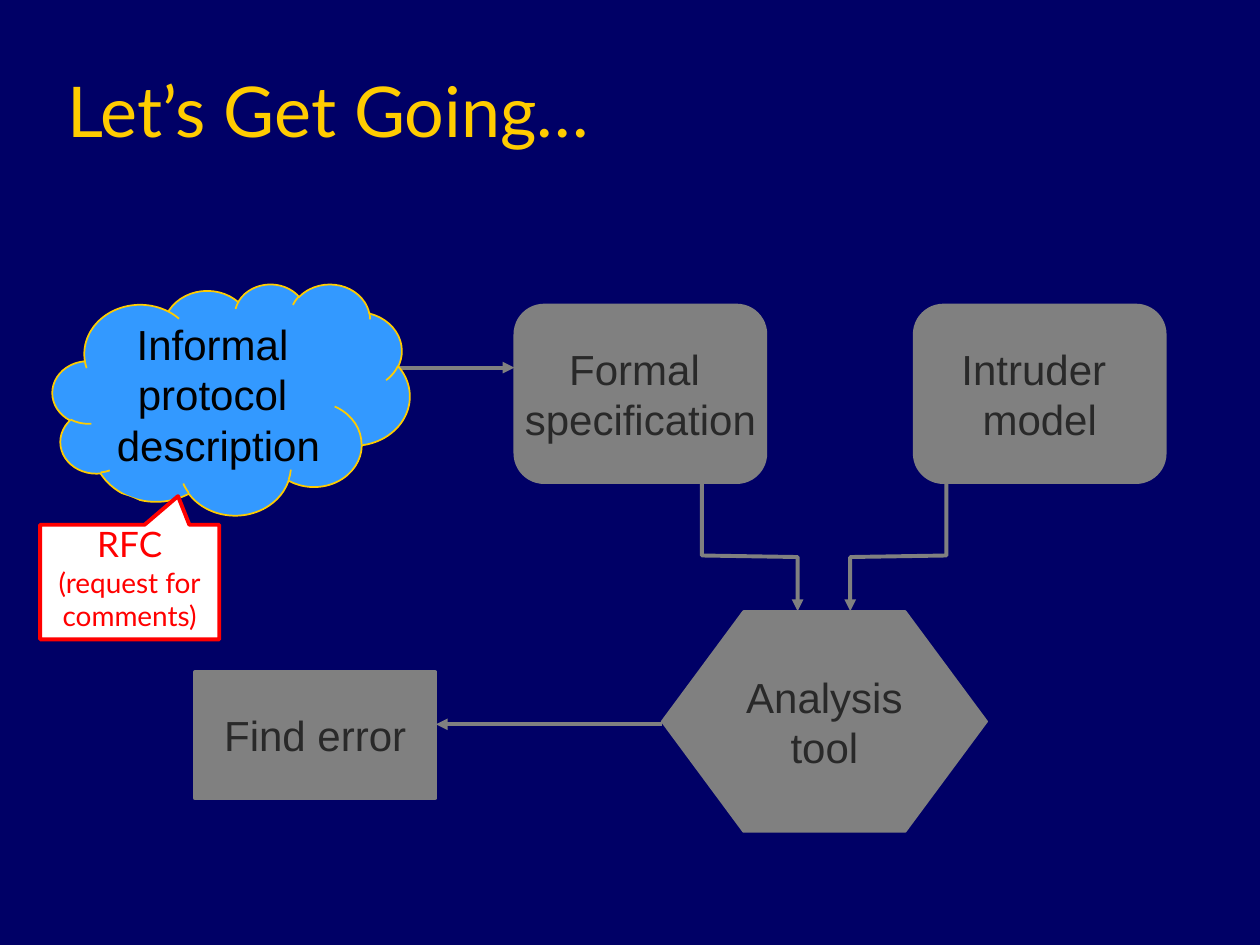
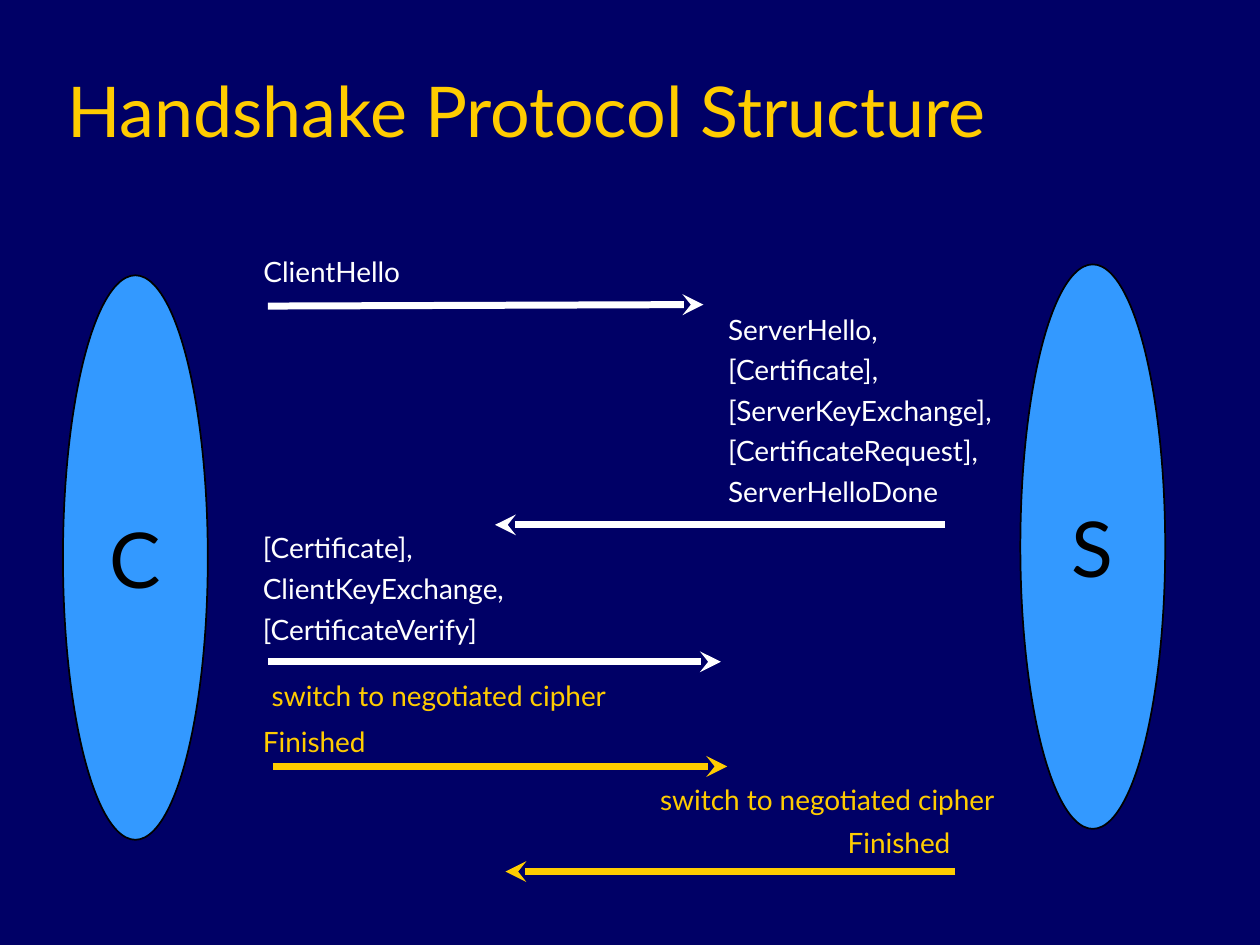
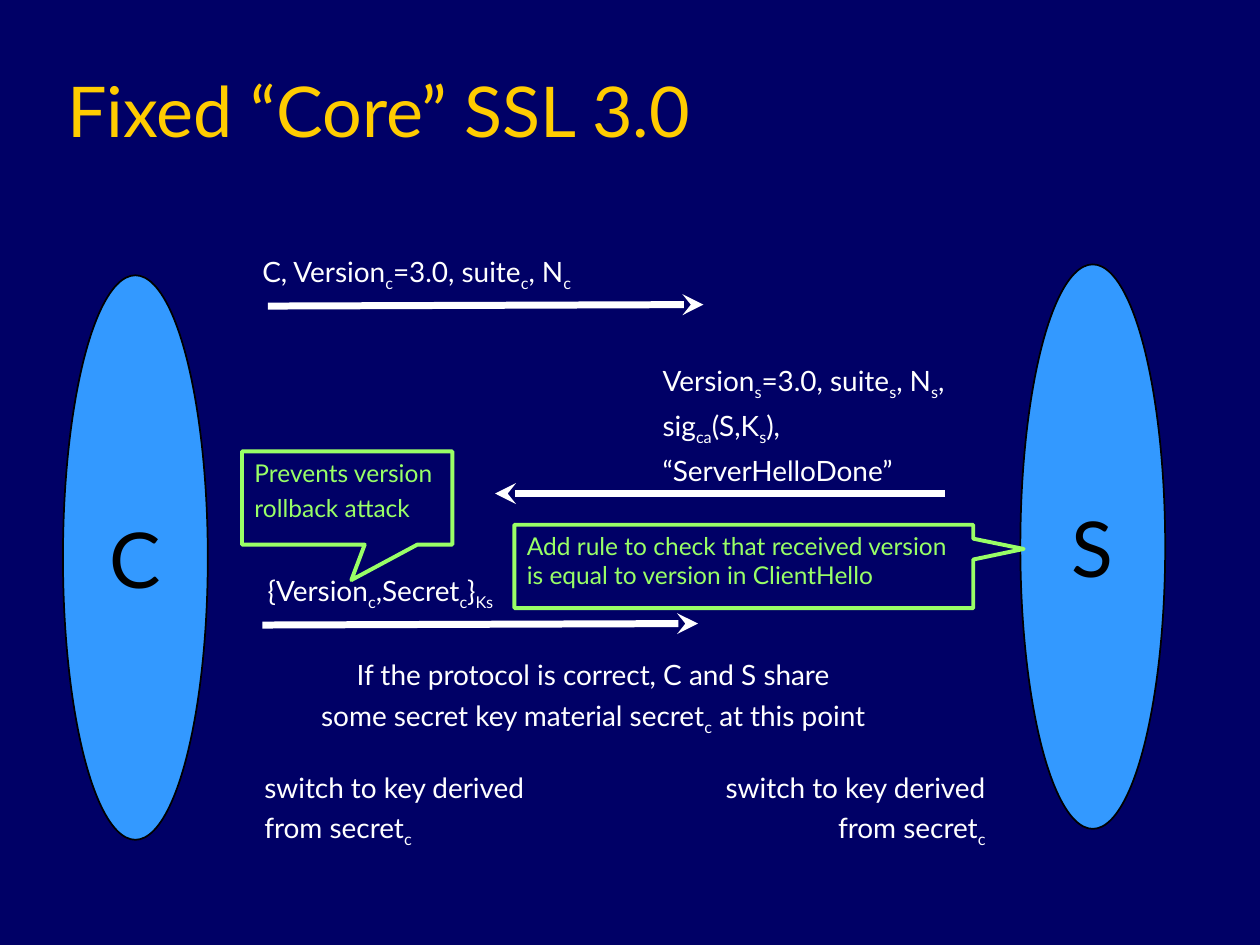
"""Build three slides on analysing and repairing a handshake protocol."""
from dataclasses import dataclass, field, replace
from typing import Optional

from lxml import etree
from pptx import Presentation
from pptx import util as u
from pptx.dml import color
from pptx.enum import shapes, text
from pptx.oxml import ns

NAVY, GOLD, SKY, GREY = "000066", "FFCC00", "3399FF", "808080"
WHITE, BLACK, CHARCOAL, RED, LIME = "FFFFFF", "000000", "292929", "FF0000", "99FF66"
LEFT, CENTER, RIGHT = text.PP_ALIGN.LEFT, text.PP_ALIGN.CENTER, text.PP_ALIGN.RIGHT
TOP, MIDDLE, BOTTOM = text.MSO_ANCHOR.TOP, text.MSO_ANCHOR.MIDDLE, text.MSO_ANCHOR.BOTTOM
KIND = shapes.MSO_SHAPE


@dataclass(frozen=True)
class Style:
    """Look of a paragraph."""
    size: float
    color: str
    font: str = "Lato"
    align: int = LEFT
    before: float = 0
    spacing: Optional[float] = None


TITLE = Style(40, GOLD)
MESSAGE = Style(16, WHITE, before=4)
CENTERED = replace(MESSAGE, align=CENTER)
SECURED = replace(MESSAGE, color=GOLD)
SECURED_CENTERED = replace(SECURED, align=CENTER)
REMARK = Style(14, LIME, before=3.5)
PARTY = Style(44, BLACK, align=CENTER, before=11)
STEP = Style(24, CHARCOAL, "Arial", CENTER)
RFC = Style(16, RED, align=CENTER, before=4, spacing=0.8)


@dataclass(frozen=True)
class Label:
    """Text placed on a slide; subscripts stand between bars."""
    box: tuple[float, float, float, float]
    text: str
    style: Style = MESSAGE
    special: dict[int, Style] = field(default_factory=dict)
    anchor: int = TOP
    wrap: bool = False
    grow: bool = True


@dataclass(frozen=True)
class Node:
    """Filled or outlined preset shape with its label."""
    kind: int
    label: Label
    fill: Optional[str] = GREY
    line: Optional[str] = GREY
    width: float = 1
    adjust: tuple[float, ...] = ()


@dataclass(frozen=True)
class Arrow:
    """Straight arrow pointing at its second end."""
    start: tuple[float, float]
    end: tuple[float, float]
    color: str = WHITE
    width: float = 4
    head: str = "stealth"


def rgb(value: str) -> color.RGBColor:
    """Turn a hex string into a colour."""
    return color.RGBColor.from_string(value)


def cm(values) -> list[u.Cm]:
    """Turn numbers into centimetre lengths."""
    return [u.Cm(v) for v in values]


def write(sp, label: Label) -> None:
    """Put a label's text into a shape."""
    tf = sp.text_frame
    tf.text = label.text
    tf.word_wrap = label.wrap
    tf.vertical_anchor = label.anchor
    tf.auto_size = text.MSO_AUTO_SIZE.SHAPE_TO_FIT_TEXT if label.grow else text.MSO_AUTO_SIZE.NONE
    for i, p in enumerate(tf.paragraphs):
        style = label.special.get(i, label.style)
        p.alignment = style.align
        p.space_before = u.Pt(style.before)
        if style.spacing:
            p.line_spacing = style.spacing
        first, *rest = p.text.split("|")
        p.text = first
        for piece in filter(None, rest):
            p.add_run().text = piece
        for j, r in enumerate(p.runs):
            r.font.name, r.font.size = style.font, u.Pt(style.size)
            r.font.color.rgb = rgb(style.color)
            if j % 2:
                r.font._element.set("baseline", "-25000")


def add_label(slide, label: Label) -> None:
    """Draw a text box."""
    write(slide.shapes.add_textbox(*cm(label.box)), label)


def add_node(slide, node: Node) -> None:
    """Draw a preset shape."""
    sp = slide.shapes.add_shape(node.kind, *cm(node.label.box))
    sp.shadow.inherit = False
    for i, value in enumerate(node.adjust):
        sp.adjustments[i] = value
    if node.fill:
        sp.fill.solid()
        sp.fill.fore_color.rgb = rgb(node.fill)
    else:
        sp.fill.background()
    if node.line:
        sp.line.color.rgb = rgb(node.line)
        sp.line.width = u.Pt(node.width)
    else:
        sp.line.fill.background()
    if node.label.text:
        write(sp, node.label)


def point_line(sp, hue: str, width: float, head: str) -> None:
    """Colour a line and give its end an arrowhead."""
    sp.line.color.rgb = rgb(hue)
    sp.line.width = u.Pt(width)
    ln = sp._element.spPr.find(ns.qn("a:ln"))
    etree.SubElement(ln, ns.qn("a:tailEnd"), type=head)


def add_arrow(slide, arrow: Arrow) -> None:
    """Draw a straight arrow."""
    sp = slide.shapes.add_connector(shapes.MSO_CONNECTOR.STRAIGHT, *cm(arrow.start + arrow.end))
    point_line(sp, arrow.color, arrow.width, arrow.head)
    etree.SubElement(sp._element.spPr, ns.qn("a:effectLst"))


def add_elbow(slide, x: float, target_x: float) -> None:
    """Draw a bent arrow from a box down to the analysis tool."""
    start, *bends = [tuple(cm(pt)) for pt in
                     ((x, 9.75), (x, 11.2), (target_x, 11.23), (target_x, 12.32))]
    builder = slide.shapes.build_freeform(*start)
    builder.add_line_segments(bends, close=False)
    sp = builder.convert_to_shape()
    sp.shadow.inherit = False
    sp.fill.background()
    point_line(sp, GREY, 2.25, "triangle")


def step(kind: int, box: tuple, words: str, style: Style = STEP, **look) -> Node:
    """Describe one stage of the analysis."""
    return Node(kind, Label(box, words, style, anchor=MIDDLE, grow=False), **look)


def remark(box: tuple, words: str, adjust: tuple) -> Node:
    """Describe an outlined callout."""
    label = Label(box, words, REMARK, wrap=True, grow=False)
    return Node(KIND.RECTANGULAR_CALLOUT, label, None, LIME, 2.25, adjust)


def add_slide(prs, title: str):
    """Add a slide with the shared background and title."""
    slide = prs.slides.add_slide(prs.slide_layouts[6])
    slide.background.fill.solid()
    slide.background.fill.fore_color.rgb = rgb(NAVY)
    add_label(slide, Label((1.11, 0.64, 21.59, 2.54), title, TITLE,
                           anchor=BOTTOM, wrap=True, grow=False))
    return slide


def add_exchange(prs, title: str, arrows: list[Arrow], labels: list[Label]):
    """Add a slide with client, server and the messages between them."""
    slide = add_slide(prs, title)
    for name, x, y in (("C", 1.27, 5.55), ("S", 20.57, 5.33)):
        add_node(slide, step(KIND.OVAL, (x, y, 2.92, 11.38), name, PARTY, fill=SKY, line=BLACK))
    for arrow in arrows:
        add_arrow(slide, arrow)
    for label in labels:
        add_label(slide, label)
    return slide


def add_overview(prs) -> None:
    """Add the slide with the stages of the analysis."""
    slide = add_slide(prs, "Let’s Get Going…")
    rounded = KIND.FLOWCHART_ALTERNATE_PROCESS
    for node in (
        step(rounded, (18.42, 6.14, 5.08, 3.6), "Intruder \nmodel"),
        step(KIND.HEXAGON, (13.34, 12.32, 6.56, 4.45), "Analysis\ntool", adjust=(0.37,)),
        step(rounded, (10.37, 6.14, 5.08, 3.6), "Formal \nspecification"),
    ):
        add_node(slide, node)
    add_elbow(slide, 14.15, 16.08)
    add_elbow(slide, 19.08, 17.14)
    for start, end in (((7.42, 7.41), (10.37, 7.41)), ((13.34, 14.6), (8.79, 14.6))):
        add_arrow(slide, Arrow(start, end, GREY, 2.25, "triangle"))
    rfc = Label((0.81, 10.58, 3.61, 2.31), "RFC\n(request for\ncomments)", RFC,
                {0: replace(RFC, size=20, before=5)})
    for node in (
        step(KIND.CLOUD_CALLOUT, (1.06, 5.72, 7.2, 4.66), "Informal \nprotocol \ndescription",
             replace(STEP, color=BLACK), fill=SKY, line=GOLD, adjust=(-0.53, 0.7)),
        step(KIND.OVAL, (0.21, 9.88, 3.18, 1.9), "", fill=NAVY, line=None),
        step(KIND.RECTANGLE, (3.93, 13.55, 4.85, 2.54), "Find error",
             replace(STEP, before=6), width=2.25),
        Node(KIND.RECTANGULAR_CALLOUT, rfc, WHITE, RED, 2.25, (0.27, -0.75)),
    ):
        add_node(slide, node)


def add_handshake(prs) -> None:
    """Add the slide with the full handshake."""
    finished = replace(SECURED, before=50.4, spacing=0.7)
    add_exchange(prs, "Handshake Protocol Structure", [
        Arrow((5.4, 6.17), (14.18, 6.14)),
        Arrow((19.05, 10.58), (9.98, 10.58)),
        Arrow((5.4, 13.34), (14.53, 13.34)),
        Arrow((5.5, 15.45), (14.66, 15.45), GOLD),
        Arrow((19.26, 17.57), (10.19, 17.57), GOLD),
    ], [
        Label((5, 5, 3.38, 0.94), "ClientHello", CENTERED),
        Label((14.43, 6.17, 6.22, 4.22),
              "ServerHello,\n[Certificate],\n[ServerKeyExchange],\n"
              "[CertificateRequest],\nServerHelloDone"),
        Label((5.05, 10.58, 5.69, 4.83),
              "[Certificate],\nClientKeyExchange,\n[CertificateVerify]\nFinished",
              special={3: finished}),
        Label((5, 13.55, 7.7, 0.94), "switch to negotiated cipher", SECURED_CENTERED),
        Label((16.84, 16.51, 2.72, 0.94), "Finished", SECURED),
        Label((12.83, 15.66, 7.7, 0.94), "switch to negotiated cipher", SECURED_CENTERED),
    ])


def add_fixed_core(prs) -> None:
    """Add the slide with the repaired core protocol."""
    switch = "switch to key derived\nfrom secret|c|"
    slide = add_exchange(prs, "Fixed “Core” SSL 3.0", [
        Arrow((5.4, 6.17), (14.18, 6.14)),
        Arrow((19.05, 9.95), (9.98, 9.95)),
        Arrow((5.29, 12.6), (14.07, 12.57)),
    ], [
        Label((13.11, 7.2, 6.53, 2.77),
              "Version|s|=3.0, suite|s|, N|s|,\nsig|ca|(S,K|s|),\n“ServerHelloDone”"),
        Label((4.88, 5, 7.04, 1.04), "C, Version|c|=3.0, suite|c|, N|c|", CENTERED),
        Label((4.98, 11.43, 5.38, 1.04), "{Version|c|,Secret|c|}|Ks|", CENTERED),
        Label((5.08, 15.4, 6.07, 1.85), switch),
        Label((5.79, 13.13, 12.34, 1.85),
              "If the protocol is correct, C and S share\n"
              "some secret key material secret|c| at this point", CENTERED),
        Label((14.05, 15.4, 6.07, 1.85), switch, replace(MESSAGE, align=RIGHT)),
    ])
    add_node(slide, remark((4.88, 9.1, 4.24, 1.88), "Prevents version\nrollback attack",
                           (0.02, 0.88)))
    add_node(slide, remark((10.37, 10.58, 9.25, 1.68),
                           "Add rule to check that received version "
                           "is equal to version in ClientHello", (0.61, -0.21)))


def main() -> None:
    """Build and save the presentation."""
    prs = Presentation()
    prs.slide_width, prs.slide_height = cm((25.4, 19.05))
    add_overview(prs)
    add_handshake(prs)
    add_fixed_core(prs)
    prs.save("out.pptx")


if __name__ == "__main__":
    main()
